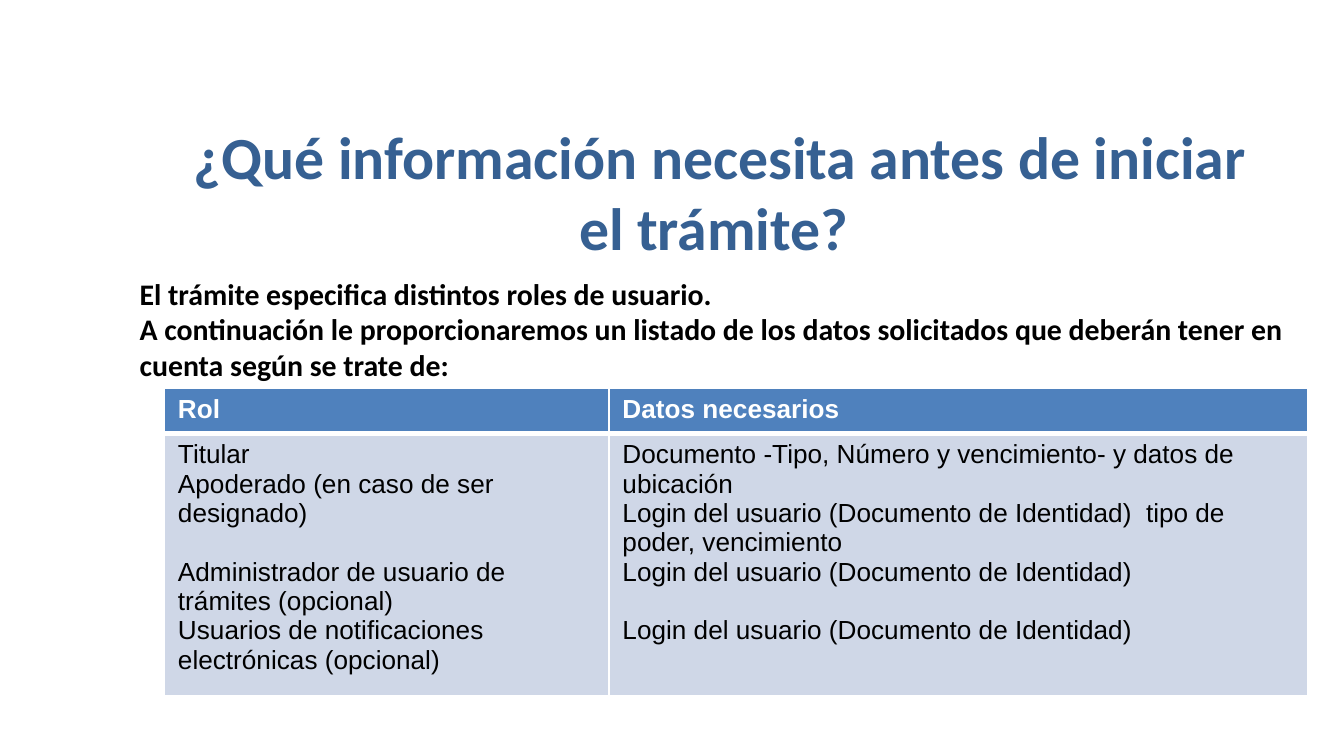
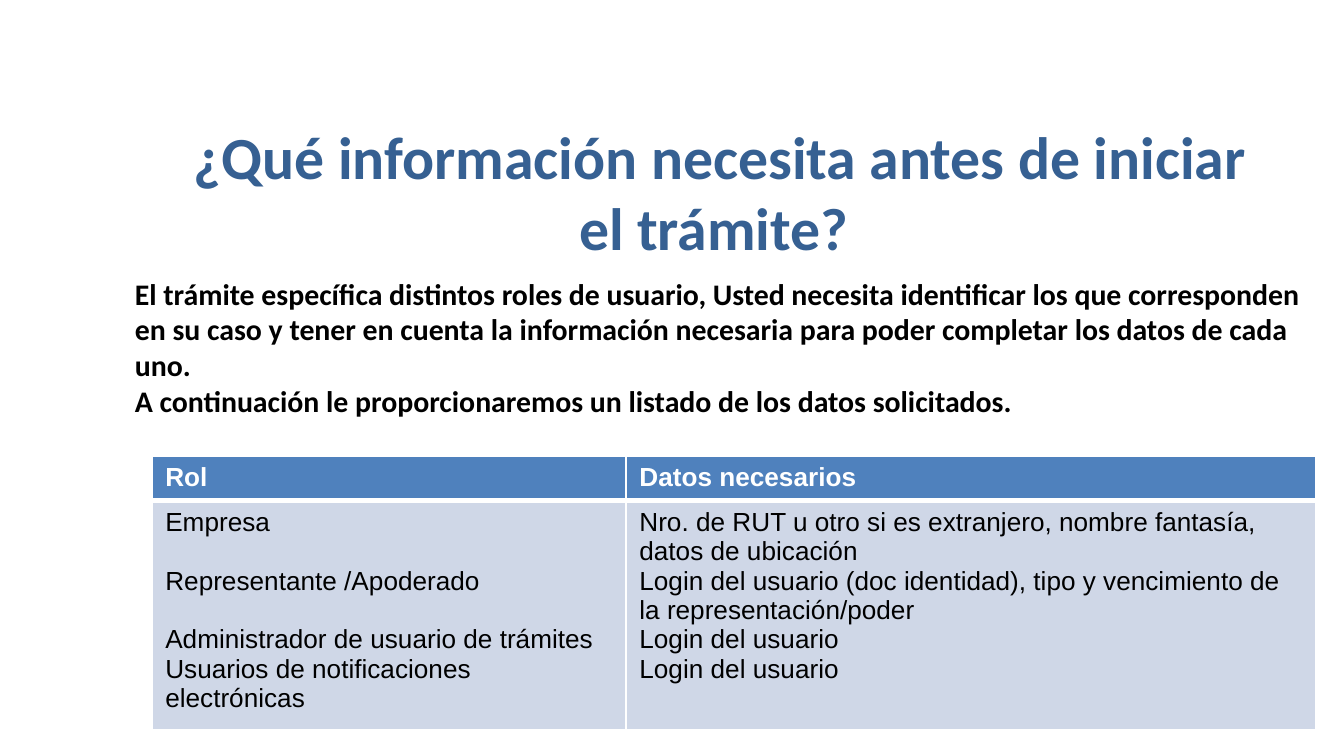
from lxml.etree import SubElement
from pptx import Presentation
from pptx.dml.color import RGBColor as Rgb
from pptx.enum.text import MSO_ANCHOR as Anchor, MSO_AUTO_SIZE as AutoSize, PP_ALIGN as Align
from pptx.oxml.ns import qn
from pptx.util import Cm, Pt

COLORS = {"title": "366092", "text": "000000", "header": "4F81BD",
          "body": "CFD7E7", "white": "FFFFFF"}
TITLE = "¿Qué información necesita antes de iniciar el trámite? "
HEADINGS = ["Rol", "Datos necesarios"]
LINE_GAP = 15.75  # one line of table text, in points

# Each table column is a list of (text, space before in points)
PAGES = [
    {
        "intro_left": 2.39, "intro_height": 2.26,
        "intro": ["El trámite especifica distintos roles de usuario.",
                  "A continuación le proporcionaremos un listado de los datos solicitados "
                  "que deberán tener en cuenta según se trate de:"],
        "table_at": (3.11, 7.34), "widths": (8.4, 13.2),
        "columns": [
            [("Titular", 0),
             ("Apoderado (en caso de ser designado)", 0),
             ("Administrador de usuario de trámites (opcional)", LINE_GAP),
             ("Usuarios de notificaciones electrónicas (opcional)", 0)],
            [("Documento -Tipo, Número y vencimiento- y datos de ubicación", 0),
             ("Login del usuario (Documento de Identidad)  tipo de poder, vencimiento", 0),
             ("Login del usuario (Documento de Identidad)", 0),
             ("Login del usuario (Documento de Identidad)", LINE_GAP)],
        ],
    },
    {
        "intro_left": 2.3, "intro_height": 2.6,
        "intro": ["El trámite específica distintos roles de usuario, Usted necesita identificar "
                  "los que corresponden en su caso y tener en cuenta la información necesaria "
                  "para poder completar los datos de cada uno.",
                  "A continuación le proporcionaremos un listado de los datos solicitados."],
        "table_at": (2.87, 8.62), "widths": (8.96, 13.03),
        "columns": [
            [("Empresa", 0),
             ("Representante /Apoderado", LINE_GAP),
             ("Administrador de usuario de trámites", LINE_GAP),
             ("Usuarios de notificaciones electrónicas", 0)],
            [("Nro. de RUT u otro si es extranjero, nombre fantasía, datos de ubicación", 0),
             ("Login del usuario (doc identidad), tipo y vencimiento de la "
              "representación/poder", 0),
             ("Login del usuario", 0),
             ("Login del usuario", 0)],
        ],
    },
]


def write(frame, lines, font, size, color, bold, align=Align.LEFT):
    """Fill a text frame with (text, space before) lines in one style."""
    frame.text = "\n".join(text for text, gap in lines)
    for para, (text, gap) in zip(frame.paragraphs, lines):
        para.alignment = align
        para.space_before = Pt(gap)
        for span in para.runs:
            span.font.name = font
            span.font.size = Pt(size)
            span.font.bold = bold
            span.font.color.rgb = Rgb.from_string(COLORS[color])


def style_cell(cell, fill, top, bottom):
    """Give a cell white borders (widths in points) and a solid fill."""
    properties = cell._tc.get_or_add_tcPr()
    for side, width in (("L", 1), ("R", 1), ("T", top), ("B", bottom)):
        line = SubElement(properties, qn(f"a:ln{side}"), w=str(Pt(width)))
        solid = SubElement(line, qn("a:solidFill"))
        SubElement(solid, qn("a:srgbClr"), val=COLORS["white"])
    cell.fill.solid()
    cell.fill.fore_color.rgb = Rgb.from_string(COLORS[fill])


deck = Presentation()
deck.slide_width, deck.slide_height = Cm(25.4), Cm(14.29)

for page in PAGES:
    slide = deck.slides.add_slide(deck.slide_layouts[5])

    # Title
    title = slide.shapes.title
    title.left, title.top, title.width, title.height = Cm(3.28), Cm(2.13), Cm(20.68), Cm(3)
    title.text_frame.word_wrap = True
    title.text_frame.auto_size = AutoSize.NONE
    title.text_frame.vertical_anchor = Anchor.TOP
    write(title.text_frame, [(TITLE, 0)], "Calibri", 32, "title", True, Align.CENTER)

    # Introduction
    box = slide.shapes.add_textbox(Cm(page["intro_left"]), Cm(5.08),
                                   Cm(22.56), Cm(page["intro_height"]))
    box.text_frame.word_wrap = True
    write(box.text_frame, [(text, 0) for text in page["intro"]], "Calibri", 16, "text", True)

    # Table of roles
    left, top = page["table_at"]
    table = slide.shapes.add_table(2, 2, Cm(left), Cm(top),
                                   Cm(sum(page["widths"])), Cm(3.91)).table
    table.horz_banding = False
    table.rows[0].height, table.rows[1].height = Cm(0.61), Cm(3.3)
    for index, heading in enumerate(HEADINGS):
        table.columns[index].width = Cm(page["widths"][index])
        header, body = table.cell(0, index), table.cell(1, index)
        style_cell(header, "header", 1, 3)
        style_cell(body, "body", 3, 1)
        write(header.text_frame, [(heading, 0)], "Arial", 14, "white", True)
        write(body.text_frame, page["columns"][index], "Arial", 14, "text", False)

deck.save("out.pptx")
